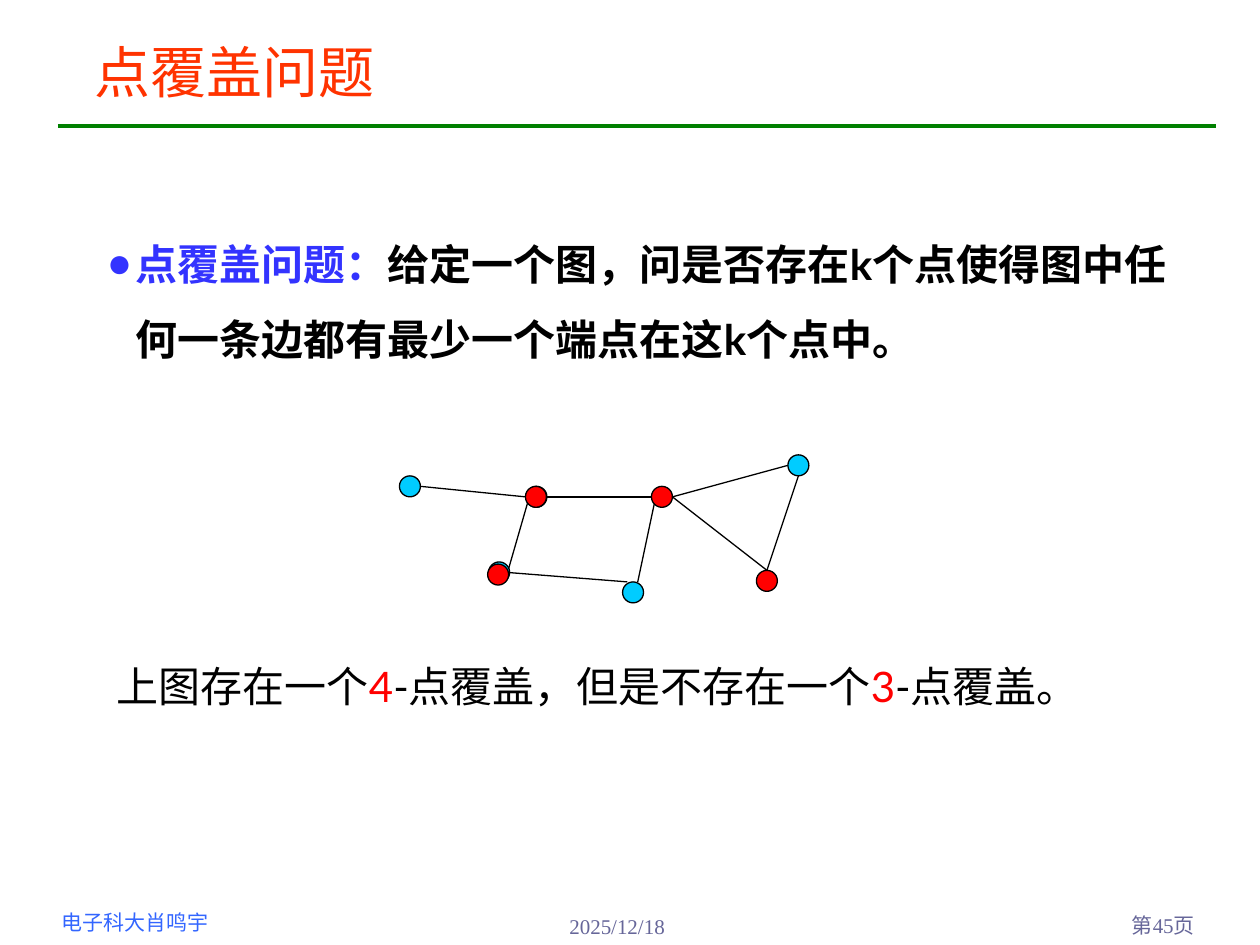
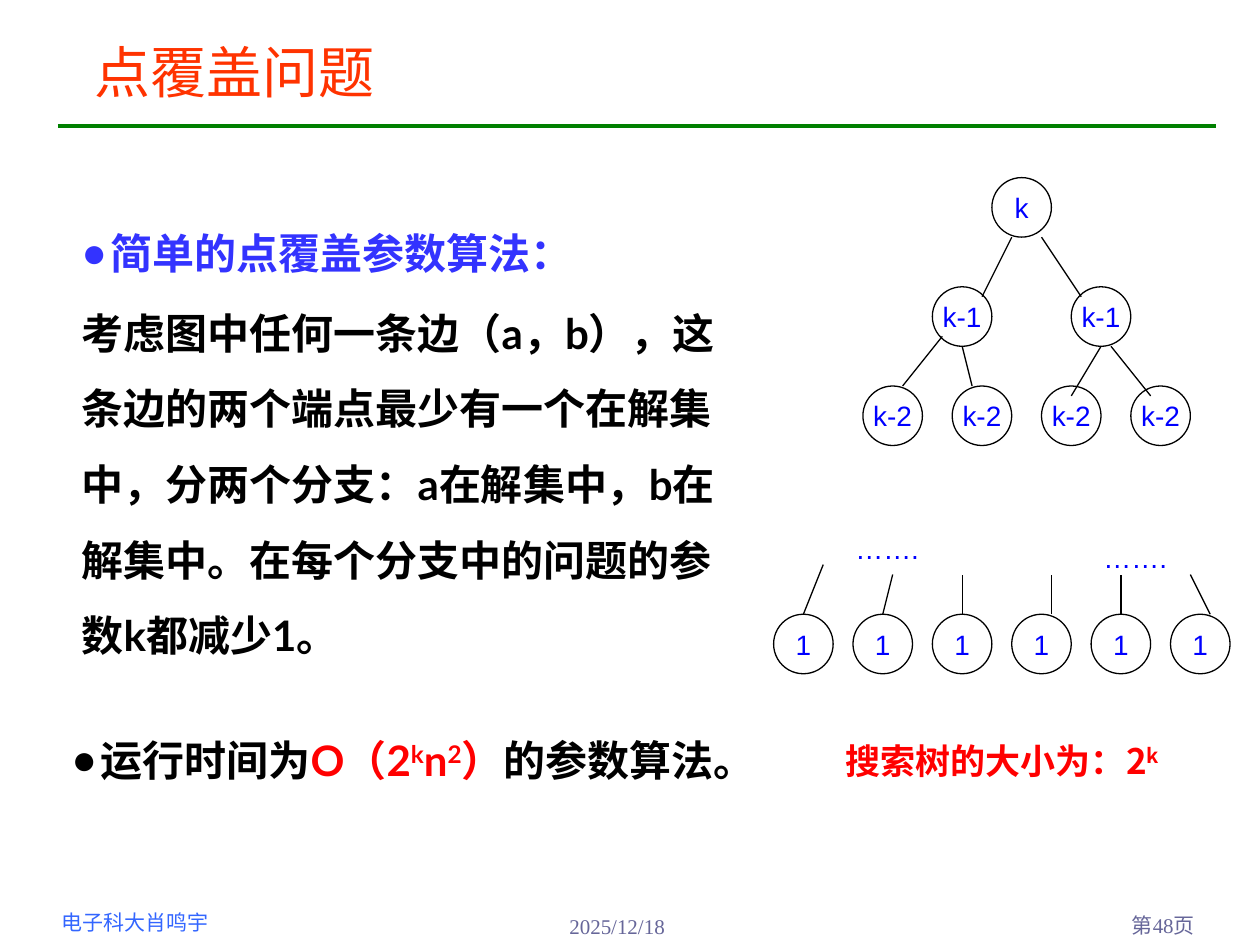
from lxml import etree
from pptx import Presentation
from pptx.dml.color import RGBColor
from pptx.enum.shapes import MSO_CONNECTOR, MSO_SHAPE
from pptx.enum.text import MSO_ANCHOR, PP_ALIGN
from pptx.oxml.ns import qn
from pptx.util import Inches, Pt

BLACK = RGBColor(0x00, 0x00, 0x00)
RED = RGBColor(0xFF, 0x00, 0x00)
ORANGE = RGBColor(0xFF, 0x33, 0x00)
GREEN = RGBColor(0x00, 0x80, 0x00)
TERM_BLUE = RGBColor(0x33, 0x33, 0xFF)
AUTHOR_BLUE = RGBColor(0x33, 0x66, 0xFF)
LABEL_BLUE = RGBColor(0x00, 0x00, 0xFF)
SKY = RGBColor(0x00, 0xCC, 0xFF)
SLATE = RGBColor(0x66, 0x66, 0x99)

LATO, ARIAL, TIMES = "Lato", "Arial", "Times New Roman"
CJK = "Noto Sans CJK SC"
BULLET_INDENT = Inches(0.23)


class Grid:
    """Maps whole columns and rows to lengths on the slide, in inches."""

    def __init__(self, left, top, unit):
        self.left, self.top, self.unit = left, top, unit

    def at(self, column, row):
        return self.left + column * self.unit, self.top + row * self.unit


GRAPH = Grid(3.17, 3.61, 1 / 12)
GRAPH_NODE = 2 * GRAPH.unit
COVERED_NODES = [(12, 3), (24, 3), (34, 11), (8.4, 10.4)]
OTHER_NODES = [(12.05, 3), (37, 0), (0, 2), (8.5, 10.2), (21.25, 12.1)]
GRAPH_EDGES = [
    (2, 3, 12, 4), (14, 4, 24, 4), (26, 4, 37, 1), (38, 2, 35, 11),
    (26, 4, 35, 11), (24.5, 3.6, 22.7, 12.1), (10.3, 11.2, 21.7, 12.1),
    (12.2, 4.6, 10.3, 11.2),
]

TREE = Grid(6.14, 1.41, 0.63 / 8)
TREE_NODE = 6 * TREE.unit
TREE_LEVELS = [
    ("k", 0, [22]),
    ("k-1", 11, [16, 30]),
    ("k-2", 21, range(9, 37, 9)),
    ("1", 44, range(0, 41, 8)),
]
TREE_EDGES = [
    (24, 6, 21, 12), (27, 6, 31, 12), (17, 16, 13, 21), (19, 17, 20, 21),
    (33, 17, 30, 22), (34, 17, 38, 22), (3, 44, 5, 39), (11, 44, 12, 40),
    (19, 44, 19, 40), (28, 44, 28, 40), (35, 44, 35, 40), (44, 44, 42, 40),
]


def style_run(span, font, size, color, bold=False, raised=False):
    span.font.size = Pt(size)
    span.font.bold = bold
    span.font.color.rgb = color
    span.font.name = font
    properties = span.font._element
    etree.SubElement(properties, qn("a:ea")).set("typeface", CJK)
    if raised:
        properties.set("baseline", "30000")


def add_bullet(para):
    properties = para._p.get_or_add_pPr()
    properties.set("marL", str(BULLET_INDENT))
    properties.set("indent", str(-BULLET_INDENT))
    etree.SubElement(properties, qn("a:buFont")).set("typeface", ARIAL)
    etree.SubElement(properties, qn("a:buChar")).set("char", "●")


def add_text(page, place, spans, font, size, bold=False, bullet=False,
             spacing=None, align=PP_ALIGN.LEFT, anchor=MSO_ANCHOR.TOP):
    """Spans are (text, color) or (text, color, raised)."""
    box = page.shapes.add_textbox(*map(Inches, place))
    frame = box.text_frame
    frame.word_wrap = True
    frame.vertical_anchor = anchor
    para = frame.paragraphs[0]
    para.alignment = align
    if spacing:
        para.line_spacing = spacing
    if bullet:
        add_bullet(para)
    for text, color, *raised in spans:
        span = para.add_run()
        span.text = text
        style_run(span, font, size, color, bold, any(raised))


def add_body(page, place, spans, font=LATO, bold=True, bullet=False):
    add_text(page, place, spans, font, 24, bold, bullet, spacing=1.5)


def add_line(page, start, end, color=BLACK, width=0.75):
    line = page.shapes.add_connector(
        MSO_CONNECTOR.STRAIGHT, *map(Inches, (*start, *end)))
    line.line.color.rgb = color
    line.line.width = Pt(width)
    etree.SubElement(line._element.spPr, qn("a:effectLst"))


def add_edges(page, grid, edges):
    for column, row, end_column, end_row in edges:
        add_line(page, grid.at(column, row), grid.at(end_column, end_row))


def add_node(page, corner, size, fill=None, label=None):
    node = page.shapes.add_shape(
        MSO_SHAPE.OVAL, *map(Inches, (*corner, size, size)))
    node.shadow.inherit = False
    node.line.color.rgb = BLACK
    node.line.width = Pt(0.75)
    if fill is None:
        node.fill.background()
    else:
        node.fill.solid()
        node.fill.fore_color.rgb = fill
    if label:
        frame = node.text_frame
        frame.word_wrap = False
        frame.vertical_anchor = MSO_ANCHOR.MIDDLE
        frame.text = label
        frame.paragraphs[0].alignment = PP_ALIGN.CENTER
        style_run(frame.paragraphs[0].runs[0], ARIAL, 16, LABEL_BLUE)


def add_page(deck, number):
    """Adds a slide with the shared title, rule and footers."""
    page = deck.slides.add_slide(deck.slide_layouts[6])
    add_line(page, (0.46, 1), (9.65, 1), GREEN, 2.25)
    add_text(page, (0.65, 0.21, 8.83, 0.67), [("点覆盖问题", ORANGE)], CJK, 32,
             anchor=MSO_ANCHOR.BOTTOM)
    add_text(page, (0.39, 7.17, 2.01, 0.3), [("电子科大肖鸣宇", AUTHOR_BLUE)],
             ARIAL, 12)
    add_text(page, (4.42, 7.2, 1.99, 0.3), [("2025/12/18", SLATE)], TIMES, 12)
    add_text(page, (8.7, 7.19, 0.88, 0.31), [(f"第{number}页", SLATE)], TIMES, 12,
             align=PP_ALIGN.RIGHT)
    return page


def add_graph(page):
    add_edges(page, GRAPH, GRAPH_EDGES)
    for nodes, fill in ((OTHER_NODES, SKY), (COVERED_NODES, RED)):
        for cell in nodes:
            add_node(page, GRAPH.at(*cell), GRAPH_NODE, fill)


def add_search_tree(page):
    for label, row, columns in TREE_LEVELS:
        for column in columns:
            add_node(page, TREE.at(column, row), TREE_NODE, label=label)
    add_edges(page, TREE, TREE_EDGES)
    for cell in ((7, 35), (32, 36)):
        add_text(page, (*TREE.at(*cell), 0.87, 0.4), [("…….", LABEL_BLUE)],
                 ARIAL, 16)
    add_text(page, (*TREE.at(6, 56), 2.83, 0.43),
             [("搜索树的大小为：2", RED), ("k", RED, True)], CJK, 20, bold=True)


def build_definition(deck):
    page = add_page(deck, 45)
    add_body(page, (0.75, 1.64, 8.74, 1.22), [
        ("点覆盖问题：", TERM_BLUE),
        ("给定一个图，问是否存在k个点使得图中任何一条边都有最少一个端点在这k个点中。",
         BLACK),
    ], bullet=True)
    add_graph(page)
    add_body(page, (0.83, 4.99, 8.74, 0.62), [
        ("上图存在一个", BLACK), ("4", RED),
        ("-点覆盖，但是不存在一个", BLACK), ("3", RED), ("-点覆盖。", BLACK),
    ], bold=False)


def build_algorithm(deck):
    page = add_page(deck, 48)
    add_body(page, (0.55, 1.56, 4.96, 0.71),
             [("简单的点覆盖参数算法：", TERM_BLUE)], font=CJK, bullet=True)
    add_body(page, (0.55, 2.19, 5.28, 3.13), [
        ("考虑图中任何一条边（a，b），这条边的两个端点最少有一个在解集中，"
         "分两个分支：a在解集中，b在解集中。在每个分支中的问题的参数k都减少1。",
         BLACK),
    ])
    add_search_tree(page)
    add_body(page, (0.47, 5.58, 5.78, 1.31), [
        ("运行时间为", BLACK), ("O（2", RED), ("k", RED, True), ("n", RED),
        ("2", RED, True), ("）", RED), ("的参数算法。", BLACK),
    ], bullet=True)


def main():
    deck = Presentation()
    deck.slide_width, deck.slide_height = Inches(10), Inches(7.5)
    build_definition(deck)
    build_algorithm(deck)
    deck.save("out.pptx")


if __name__ == "__main__":
    main()
